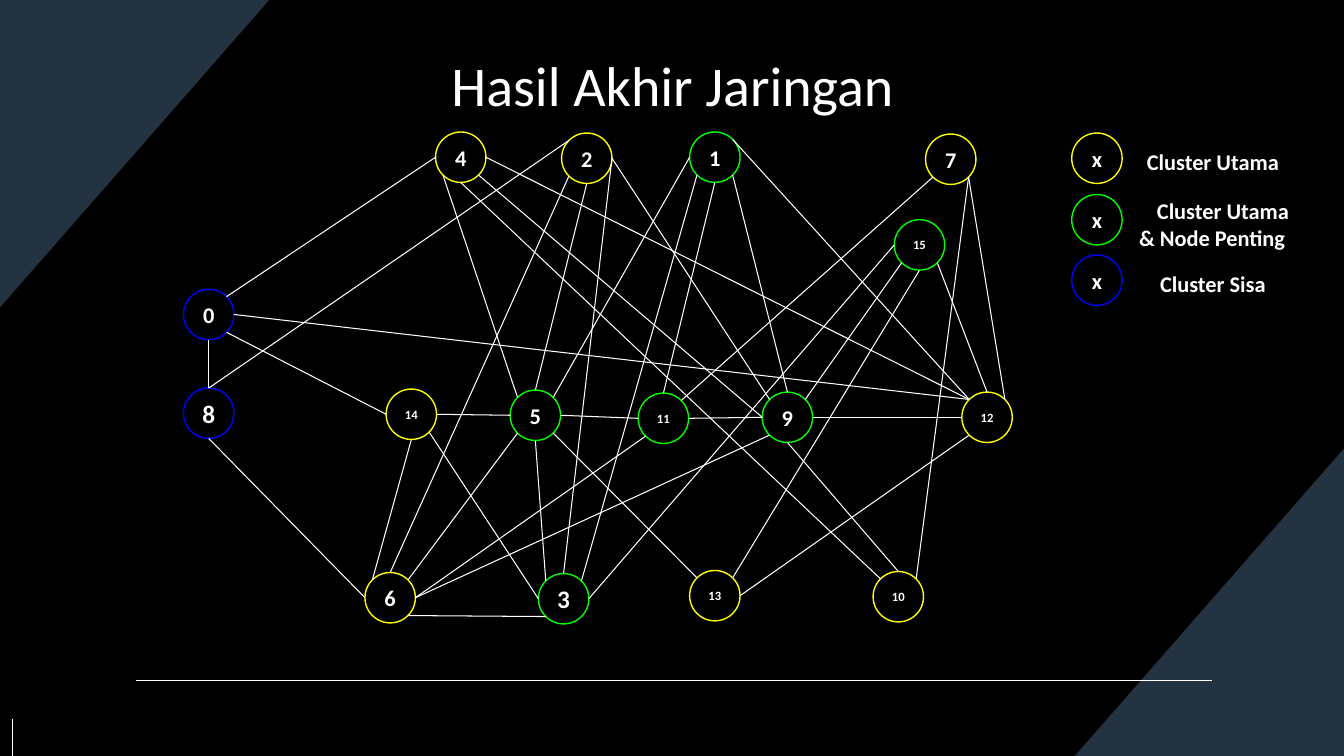
"""Build the slide showing the final network, its clusters and its legend."""
from dataclasses import dataclass
from math import sqrt

from lxml import etree
from pptx import Presentation
from pptx.dml.color import RGBColor
from pptx.enum.shapes import MSO_CONNECTOR, MSO_SHAPE
from pptx.enum.text import MSO_ANCHOR, MSO_AUTO_SIZE, PP_ALIGN
from pptx.oxml.ns import qn
from pptx.util import Inches, Pt

STRAIGHT = MSO_CONNECTOR.STRAIGHT
ELLIPSE = MSO_SHAPE.OVAL
CENTER, LEFT = PP_ALIGN.CENTER, PP_ALIGN.LEFT
MIDDLE, TOP, BOTTOM = MSO_ANCHOR.MIDDLE, MSO_ANCHOR.TOP, MSO_ANCHOR.BOTTOM
GROW = MSO_AUTO_SIZE.SHAPE_TO_FIT_TEXT

BLACK = RGBColor(0x00, 0x00, 0x00)
WHITE = RGBColor(0xFF, 0xFF, 0xFF)
NAVY = RGBColor(0x24, 0x33, 0x41)
YELLOW = RGBColor(0xFF, 0xFF, 0x00)
GREEN = RGBColor(0x00, 0xFF, 0x00)
BLUE = RGBColor(0x00, 0x00, 0xFF)

FONT = "Calibri"
DIAMETER = 0.5
DIAGONAL = sqrt(0.5)
TITLE_ONLY = 5


@dataclass(frozen=True)
class Node:
    label: str
    left: float
    top: float
    color: RGBColor
    size: int = 16

    def site(self, direction: str) -> tuple[float, float]:
        across, down = COMPASS[direction]
        radius = DIAMETER / 2
        return self.left + radius * (1 + across), self.top + radius * (1 + down)


@dataclass(frozen=True)
class Edge:
    start: str
    start_site: str
    end: str
    end_site: str


@dataclass(frozen=True)
class LegendEntry:
    marker: Node
    left: float
    top: float
    height: float
    lines: tuple[tuple[str, PP_ALIGN], ...]


COMPASS = {
    "N": (0, -1), "NE": (DIAGONAL, -DIAGONAL), "E": (1, 0), "SE": (DIAGONAL, DIAGONAL),
    "S": (0, 1), "SW": (-DIAGONAL, DIAGONAL), "W": (-1, 0), "NW": (-DIAGONAL, -DIAGONAL),
}

NODES = [
    Node("4", 4.32, 1.31, YELLOW),
    Node("7", 9.18, 1.33, YELLOW),
    Node("6", 3.62, 5.68, YELLOW),
    Node("5", 5.06, 3.87, GREEN),
    Node("2", 5.57, 1.32, YELLOW),
    Node("10", 8.66, 5.67, YELLOW, 9),
    Node("9", 7.56, 3.89, GREEN),
    Node("14", 3.83, 3.86, YELLOW, 9),
    Node("1", 6.84, 1.31, GREEN),
    Node("8", 1.82, 3.85, BLUE, 18),
    Node("15", 8.87, 2.18, GREEN, 9),
    Node("13", 6.84, 5.66, YELLOW, 9),
    Node("12", 9.54, 3.89, YELLOW, 9),
    Node("3", 5.34, 5.69, GREEN, 18),
    Node("11", 6.33, 3.9, GREEN, 9),
    Node("0", 1.82, 2.87, BLUE),
]

EDGES = [
    Edge("5", "N", "2", "S"), Edge("9", "W", "11", "E"),
    Edge("11", "NE", "7", "SW"), Edge("8", "N", "0", "S"),
    Edge("5", "NE", "1", "W"), Edge("5", "E", "11", "W"),
    Edge("5", "SE", "13", "NW"), Edge("5", "S", "3", "NW"),
    Edge("5", "SW", "6", "NE"), Edge("5", "W", "14", "E"),
    Edge("5", "NW", "4", "SW"), Edge("11", "N", "1", "S"),
    Edge("11", "SW", "6", "E"), Edge("1", "SE", "9", "N"),
    Edge("2", "E", "9", "NW"), Edge("4", "SE", "9", "W"),
    Edge("9", "SW", "6", "E"), Edge("9", "E", "12", "W"),
    Edge("15", "SW", "9", "NE"), Edge("15", "S", "13", "NE"),
    Edge("15", "SE", "12", "N"), Edge("15", "W", "3", "E"),
    Edge("9", "S", "10", "N"), Edge("7", "SE", "10", "NE"),
    Edge("4", "S", "10", "NW"), Edge("6", "W", "8", "S"),
    Edge("8", "N", "2", "NW"), Edge("0", "NE", "4", "W"),
    Edge("0", "SE", "14", "W"), Edge("0", "E", "12", "NW"),
    Edge("1", "SW", "3", "NE"), Edge("1", "NE", "12", "NW"),
    Edge("2", "E", "3", "N"), Edge("2", "SW", "6", "N"),
    Edge("3", "SW", "6", "SE"), Edge("3", "W", "14", "SE"),
    Edge("12", "SW", "13", "E"), Edge("7", "SE", "12", "NE"),
    Edge("6", "NW", "14", "S"), Edge("4", "E", "12", "NW"),
]

LEGEND = [
    LegendEntry(Node("x", 10.63, 1.32, YELLOW), 11.1, 1.37, 0.47,
                (("Cluster Utama", CENTER),)),
    LegendEntry(Node("x", 10.63, 1.93, GREEN), 11.2, 1.86, 0.74,
                (("Cluster Utama", CENTER), ("& Node Penting", LEFT))),
    LegendEntry(Node("x", 10.63, 2.53, BLUE), 11.1, 2.58, 0.47,
                (("Cluster Sisa", CENTER),)),
]

CORNERS = [
    [(0, 3.05), (0, 0), (2.67, 0)],
    [(13.33, 4.45), (13.33, 7.5), (10.66, 7.5)],
]


def add_span(para, text: str, size: int, bold: bool, align: PP_ALIGN) -> None:
    para.alignment = align
    span = para.add_run()
    span.text = text
    span.font.name = FONT
    span.font.size = Pt(size)
    span.font.bold = bold
    span.font.color.rgb = WHITE


def set_frame(frame, anchor: MSO_ANCHOR, padding: float) -> None:
    frame.word_wrap = True
    frame.vertical_anchor = anchor
    frame.margin_left = frame.margin_right = Inches(0.1)
    frame.margin_top = frame.margin_bottom = Inches(padding)


def add_corner(page, points: list[tuple[float, float]]) -> None:
    outline = [(Inches(x), Inches(y)) for x, y in points]
    builder = page.shapes.build_freeform(*outline[0])
    builder.add_line_segments(outline[1:], close=True)
    corner = builder.convert_to_shape()
    corner.shadow.inherit = False
    corner.fill.solid()
    corner.fill.fore_color.rgb = NAVY
    corner.line.fill.background()


def add_line(page, start: tuple[float, float], end: tuple[float, float], width: float) -> None:
    line = page.shapes.add_connector(STRAIGHT, *map(Inches, start + end))
    line.line.color.rgb = WHITE
    line.line.width = Pt(width)
    etree.SubElement(line._element.spPr, qn("a:effectLst"))


def add_node(page, node: Node) -> None:
    circle = page.shapes.add_shape(
        ELLIPSE, Inches(node.left), Inches(node.top), Inches(DIAMETER), Inches(DIAMETER))
    circle.shadow.inherit = False
    circle.fill.background()
    circle.line.color.rgb = node.color
    circle.line.width = Pt(1)
    set_frame(circle.text_frame, MIDDLE, 0.05)
    add_span(circle.text_frame.paragraphs[0], node.label, node.size, True, CENTER)


def add_legend_entry(page, entry: LegendEntry) -> None:
    add_node(page, entry.marker)
    box = page.shapes.add_textbox(
        Inches(entry.left), Inches(entry.top), Inches(1.86), Inches(entry.height))
    frame = box.text_frame
    set_frame(frame, TOP, 0.1)
    frame.auto_size = GROW
    for index, (text, align) in enumerate(entry.lines):
        para = frame.add_paragraph() if index else frame.paragraphs[0]
        add_span(para, text, 16, True, align)


def format_title(title) -> None:
    title.left, title.top = Inches(1.92), Inches(0.12)
    title.width, title.height = Inches(9.5), Inches(1.1)
    set_frame(title.text_frame, BOTTOM, 0.05)
    add_span(title.text_frame.paragraphs[0], "Hasil Akhir Jaringan", 40, False, CENTER)


def main() -> None:
    deck = Presentation()
    deck.slide_width, deck.slide_height = Inches(13.33), Inches(7.5)
    page = deck.slides.add_slide(deck.slide_layouts[TITLE_ONLY])
    page.background.fill.solid()
    page.background.fill.fore_color.rgb = BLACK
    for points in CORNERS:
        add_corner(page, points)
    format_title(page.shapes.title)
    add_line(page, (1.35, 6.75), (12.02, 6.75), 1)
    add_line(page, (0.12, 7.13), (0.12, 7.5), 0.75)
    for node in NODES:
        add_node(page, node)
    by_label = {node.label: node for node in NODES}
    for edge in EDGES:
        start = by_label[edge.start].site(edge.start_site)
        add_line(page, start, by_label[edge.end].site(edge.end_site), 0.75)
    for entry in LEGEND:
        add_legend_entry(page, entry)
    deck.save("out.pptx")


if __name__ == "__main__":
    main()
